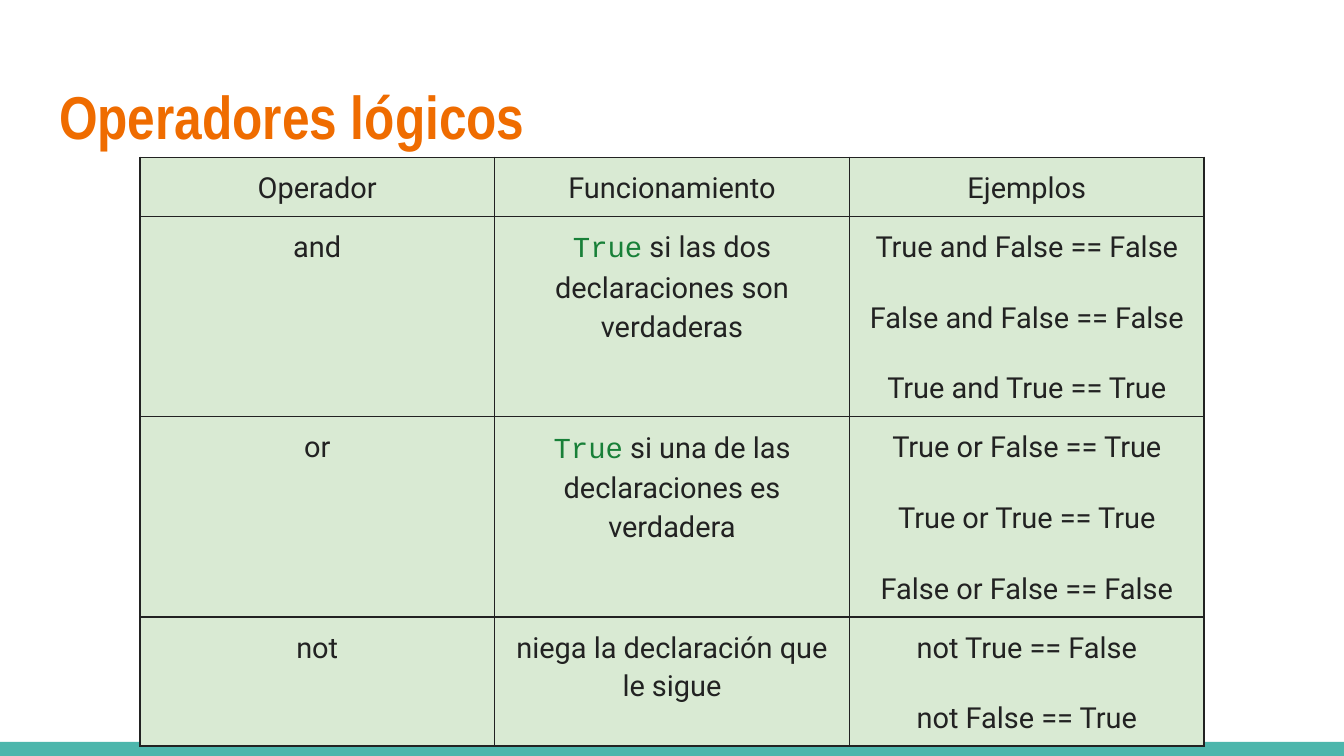
"""Build a slide with a table of the logical operators."""
from lxml import etree
from pptx import Presentation
from pptx.dml.color import RGBColor
from pptx.enum.shapes import MSO_SHAPE
from pptx.enum.text import MSO_ANCHOR, PP_ALIGN
from pptx.oxml.ns import qn
from pptx.util import Inches, Pt

RECTANGLE = MSO_SHAPE.RECTANGLE
TOP = MSO_ANCHOR.TOP
LEFT, CENTER = PP_ALIGN.LEFT, PP_ALIGN.CENTER

ORANGE = RGBColor(0xEF, 0x6C, 0x00)
TEAL = RGBColor(0x4D, 0xB6, 0xAC)
PALE_GREEN = RGBColor(0xD9, 0xEA, 0xD3)
CODE_GREEN = RGBColor(0x18, 0x80, 0x38)
INK = RGBColor(0x22, 0x22, 0x22)

KEYWORD = "True"
ROWS = [
    (0.44, "Operador", "Funcionamiento", ["Ejemplos"]),
    (1.49, "and", "True si las dos declaraciones son verdaderas",
     ["True and False == False", "False and False == False", "True and True == True"]),
    (1.49, "or", "True si una de las declaraciones es verdadera",
     ["True or False == True", "True or True == True", "False or False == False"]),
    (0.96, "not", "niega la declaración que le sigue",
     ["not True == False", "not False == True"]),
]


def add_text(para, text, font="Roboto", size=15.5, color=INK, bold=False):
    span = para.add_run()
    span.text = text
    span.font.name = font
    span.font.size = Pt(size)
    span.font.color.rgb = color
    span.font.bold = bold


def add_borders(cell, color=INK, width=0.94):
    properties = cell._tc.get_or_add_tcPr()
    for position, side in enumerate(("a:lnL", "a:lnR", "a:lnT", "a:lnB")):
        line = etree.Element(qn(side), w=str(Pt(width)))
        fill = etree.SubElement(line, qn("a:solidFill"))
        etree.SubElement(fill, qn("a:srgbClr"), val=str(color))
        properties.insert(position, line)


deck = Presentation()
deck.slide_width = Inches(10)
deck.slide_height = Inches(10) * 9 // 16
page = deck.slides.add_slide(deck.slide_layouts[5])

title = page.shapes.title
title.left, title.top = Inches(0.34), Inches(0.49)
title.width, title.height = Inches(9.32), Inches(0.77)
frame = title.text_frame
frame.margin_left = frame.margin_right = Inches(0.1)
frame.margin_top = frame.margin_bottom = Inches(0.1)
frame.vertical_anchor = TOP
frame.paragraphs[0].alignment = LEFT
add_text(frame.paragraphs[0], "Operadores lógicos", font="Arial Narrow",
         size=32.4, color=ORANGE, bold=True)

footer_bar = page.shapes.add_shape(RECTANGLE, Inches(0), Inches(5.52), Inches(10), Inches(0.11))
footer_bar.shadow.inherit = False
footer_bar.fill.solid()
footer_bar.fill.fore_color.rgb = TEAL
footer_bar.line.fill.background()

table_height = Inches(sum(row[0] for row in ROWS))
table = page.shapes.add_table(len(ROWS), 3, Inches(1.04), Inches(1.17),
                              Inches(7.92), table_height).table
table.first_row = False
table.horz_banding = False

for row_index, (height, operator, meaning, examples) in enumerate(ROWS):
    table.rows[row_index].height = Inches(height)
    for column_index, lines in enumerate(([operator], [meaning], examples)):
        cell = table.cell(row_index, column_index)
        cell.margin_left = cell.margin_right = Inches(0.07)
        cell.margin_top = cell.margin_bottom = Inches(0.07)
        cell.fill.solid()
        cell.fill.fore_color.rgb = PALE_GREEN
        add_borders(cell)
        for line_index, text in enumerate(lines):
            para = cell.text_frame.paragraphs[0]
            if line_index:
                para = cell.text_frame.add_paragraph()
                para.space_before = Pt(17)
            para.alignment = CENTER
            para.line_spacing = 1.15
            if column_index == 1 and text.startswith(KEYWORD):
                add_text(para, KEYWORD, font="Courier New", color=CODE_GREEN)
                text = text.removeprefix(KEYWORD)
            add_text(para, text)

deck.save("out.pptx")
